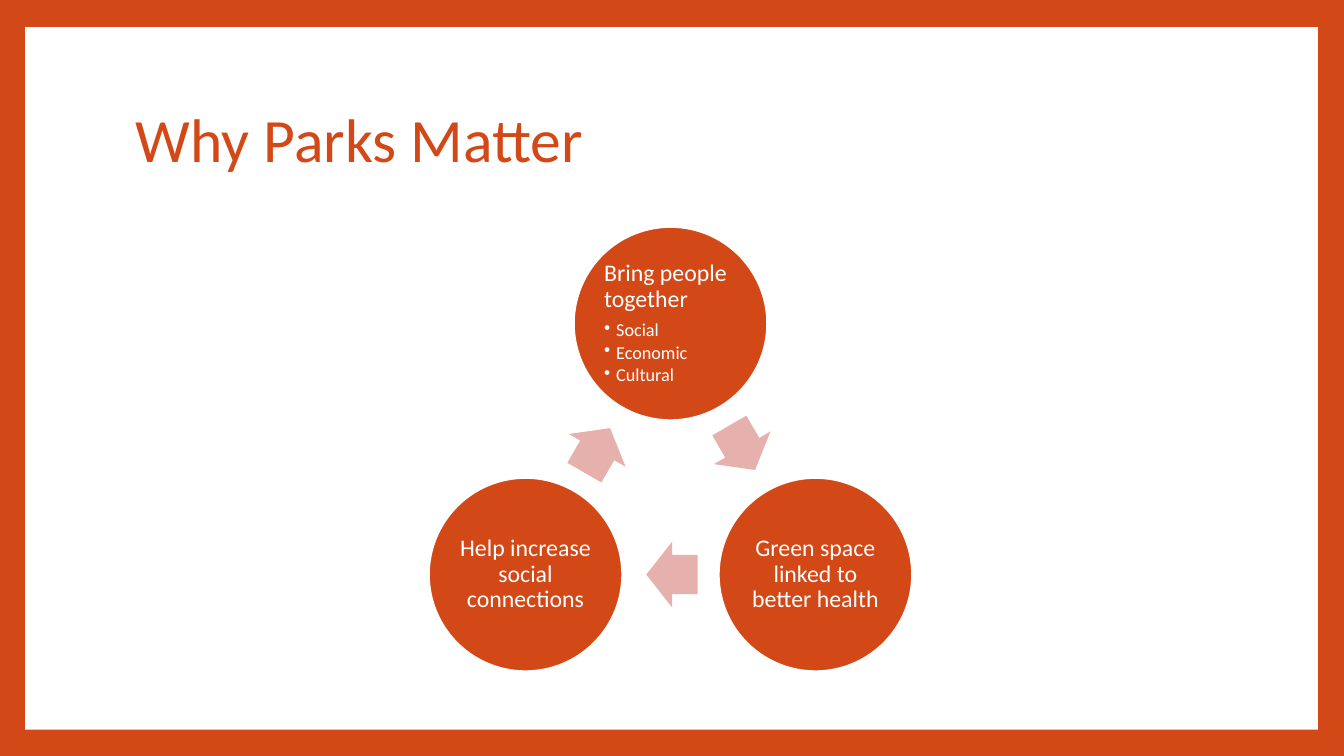
import math

import lxml.etree
import pptx
import pptx.dml.color
import pptx.enum.shapes
import pptx.enum.text
import pptx.oxml.ns
import pptx.util

Inches = pptx.util.Inches
Pt = pptx.util.Pt
RGBColor = pptx.dml.color.RGBColor
Shape = pptx.enum.shapes.MSO_SHAPE
Align = pptx.enum.text.PP_ALIGN
Anchor = pptx.enum.text.MSO_ANCHOR

ORANGE = RGBColor(0xD3, 0x48, 0x17)
PINK = RGBColor(0xE6, 0xB1, 0xAC)
WHITE = RGBColor(0xFF, 0xFF, 0xFF)

CYCLE_X, CYCLE_Y, CYCLE_RADIUS = 6.65, 4.87, 1.66
CIRCLE_SIZE = 1.92
ARROW_WIDTH, ARROW_HEIGHT = 0.51, 0.65
ARROW_SETBACK = 0.015
BULLET_INDENT = 0.12
REASONS = [
    ("Bring people together", ["Social", "Economic", "Cultural"]),
    ("Green space linked to better health", []),
    ("Help increase social connections", []),
]


class SlideBuilder:
    font = "Calibri"
    line_spacing = 0.9

    def __init__(self, deck):
        self.page = deck.slides.add_slide(deck.slide_layouts[6])

    def background(self, color):
        fill = self.page.background.fill
        fill.solid()
        fill.fore_color.rgb = color

    def shape(self, kind, left, top, width, height, color):
        shape = self.page.shapes.add_shape(
            kind, Inches(left), Inches(top), Inches(width), Inches(height))
        shape.shadow.inherit = False
        shape.fill.solid()
        shape.fill.fore_color.rgb = color
        shape.line.fill.background()
        return shape

    def style(self, para, size, color, align=Align.LEFT, after=0):
        para.alignment = align
        para.line_spacing = self.line_spacing
        para.space_after = Pt(after)
        for span in para.runs:
            span.font.name = self.font
            span.font.size = Pt(size)
            span.font.color.rgb = color

    def title(self, text, left, top, width, height):
        box = self.page.shapes.add_textbox(
            Inches(left), Inches(top), Inches(width), Inches(height))
        frame = box.text_frame
        frame.word_wrap = True
        frame.vertical_anchor = Anchor.MIDDLE
        frame.text = text
        self.style(frame.paragraphs[0], 44, ORANGE)

    def bullet(self, para):
        para.level = 1
        properties = para._p.get_or_add_pPr()
        properties.set("marL", str(Inches(BULLET_INDENT)))
        properties.set("indent", str(-Inches(BULLET_INDENT)))
        mark = lxml.etree.SubElement(properties, pptx.oxml.ns.qn("a:buChar"))
        mark.set("char", "•")

    def circle(self, x, y, heading, points):
        circle = self.shape(Shape.OVAL, x - CIRCLE_SIZE / 2, y - CIRCLE_SIZE / 2,
                            CIRCLE_SIZE, CIRCLE_SIZE, ORANGE)
        circle.line.color.rgb = WHITE
        circle.line.width = Pt(1.5)
        frame = circle.text_frame
        frame.word_wrap = True
        frame.vertical_anchor = Anchor.MIDDLE
        frame.margin_left = frame.margin_right = Inches(0.02)
        frame.margin_top = frame.margin_bottom = Inches(0.02)
        frame.text = heading
        align = Align.LEFT if points else Align.CENTER
        self.style(frame.paragraphs[0], 17, WHITE, align, 6)
        for point in points:
            para = frame.add_paragraph()
            para.text = point
            self.style(para, 13, WHITE, after=2)
            self.bullet(para)

    def arrow(self, start, end):
        angle = math.atan2(end[1] - start[1], end[0] - start[0])
        x = (start[0] + end[0]) / 2 - ARROW_SETBACK * math.cos(angle)
        y = (start[1] + end[1]) / 2 - ARROW_SETBACK * math.sin(angle)
        arrow = self.shape(Shape.RIGHT_ARROW, x - ARROW_WIDTH / 2, y - ARROW_HEIGHT / 2,
                           ARROW_WIDTH, ARROW_HEIGHT, PINK)
        arrow.adjustments[0] = 0.6
        arrow.adjustments[1] = 0.5
        arrow.rotation = round(math.degrees(angle)) % 360

    def cycle(self, reasons):
        count = len(reasons)
        angles = [math.tau * index / count - math.pi / 2 for index in range(count)]
        centers = [(CYCLE_X + CYCLE_RADIUS * math.cos(angle),
                    CYCLE_Y + CYCLE_RADIUS * math.sin(angle)) for angle in angles]
        for index, (heading, points) in enumerate(reasons):
            self.circle(*centers[index], heading, points)
            self.arrow(centers[index], centers[(index + 1) % count])


def main():
    deck = pptx.Presentation()
    deck.slide_width = Inches(13.33)
    deck.slide_height = Inches(7.5)
    builder = SlideBuilder(deck)
    builder.background(ORANGE)
    builder.shape(Shape.RECTANGLE, 0.25, 0.27, 12.82, 6.97, WHITE)
    builder.title("Why Parks Matter", 1.25, 0.67, 10.8, 1.48)
    builder.cycle(REASONS)
    deck.save("out.pptx")


if __name__ == "__main__":
    main()
